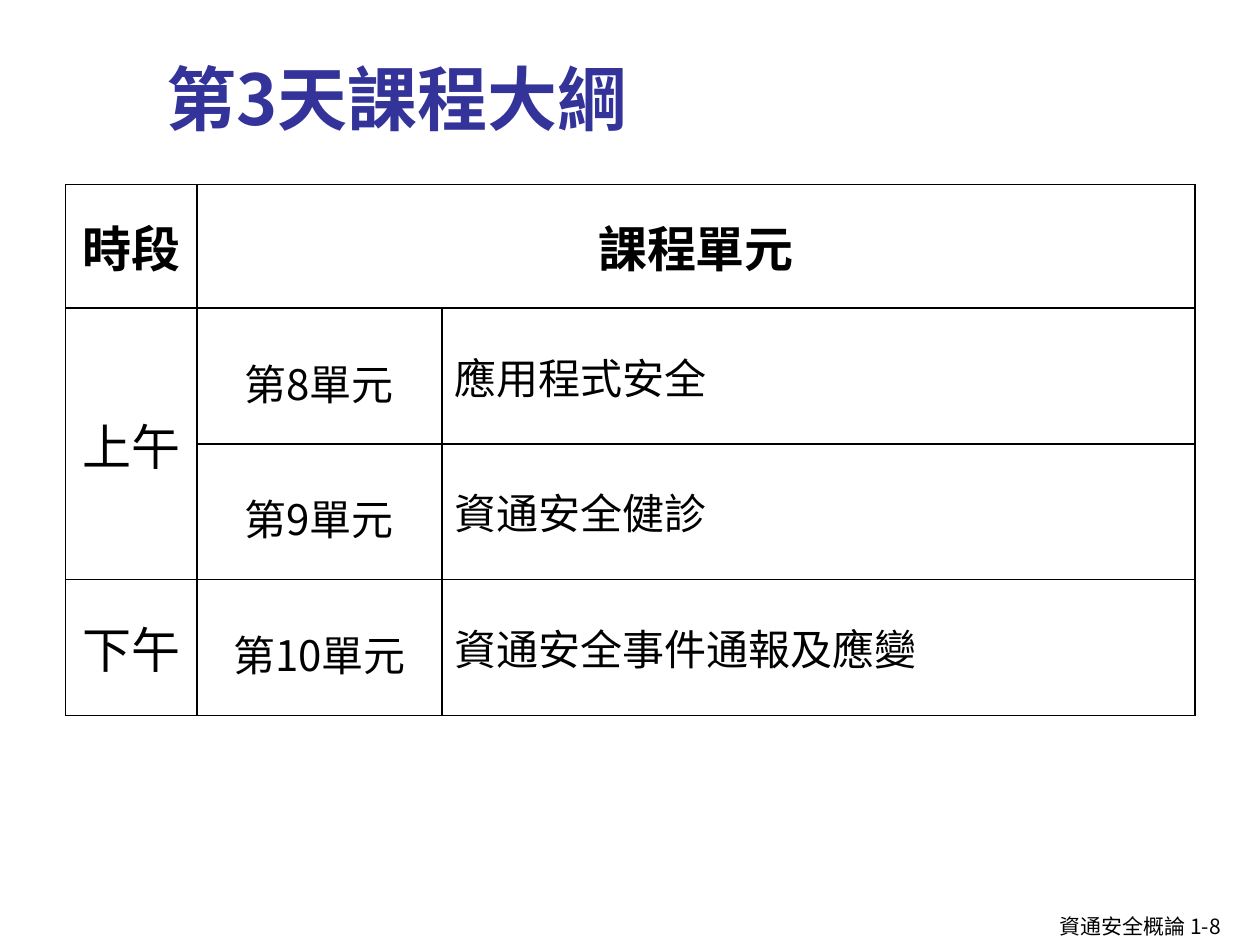
from dataclasses import dataclass

from lxml import etree
from pptx import Presentation
from pptx.dml.color import RGBColor
from pptx.enum.text import MSO_ANCHOR, PP_ALIGN
from pptx.oxml.ns import qn
from pptx.util import Pt

BLACK = RGBColor(0x00, 0x00, 0x00)
TITLE_BLUE = RGBColor(0x33, 0x33, 0x99)
LEFT, CENTER = PP_ALIGN.LEFT, PP_ALIGN.CENTER
MIDDLE, BOTTOM, TOP = MSO_ANCHOR.MIDDLE, MSO_ANCHOR.BOTTOM, MSO_ANCHOR.TOP
SC, TC = "Noto Sans CJK SC", "Noto Sans CJK TC"
COL_WIDTHS = (75, 140, 430.5)
ROW_HEIGHTS = (70.5, 77.6, 77.6, 77.6)


@dataclass(frozen=True)
class Style:
    size: float
    latin: str = SC
    east_asian: str = SC
    bold: bool = False
    color: RGBColor = BLACK
    align: PP_ALIGN = LEFT
    line_spacing: float = 1.0
    margin_x: float = 7.2
    margin_y: float = 3.6


@dataclass(frozen=True)
class Entry:
    row: int
    col: int
    text: str
    style: Style
    rows: int = 1
    cols: int = 1


TITLE = Style(40, TC, TC, bold=True, color=TITLE_BLUE)
FOOTER = Style(12)
HEADER = Style(28, "Arial", TC, bold=True, align=CENTER)
PERIOD = Style(28, align=CENTER)
UNIT = Style(24, align=CENTER, line_spacing=1.2, margin_x=5, margin_y=0)
TOPIC = Style(24)

ENTRIES = [
    Entry(0, 0, "時段", HEADER),
    Entry(0, 1, "課程單元", HEADER, cols=2),
    Entry(1, 0, "上午", PERIOD, rows=2),
    Entry(3, 0, "下午", PERIOD),
]
UNITS = (
    ("第8單元", "應用程式安全"),
    ("第9單元", "資通安全健診"),
    ("第10單元", "資通安全事件通報及應變"),
)
for row, (unit, topic) in enumerate(UNITS, start=1):
    ENTRIES += [Entry(row, 1, unit, UNIT), Entry(row, 2, topic, TOPIC)]


def write(tf, text: str, style: Style) -> None:
    tf.text = text
    p = tf.paragraphs[0]
    p.alignment = style.align
    p.line_spacing = style.line_spacing
    r = p.runs[0]
    r.font.size = Pt(style.size)
    r.font.bold = style.bold
    r.font.italic = False
    r.font.color.rgb = style.color
    r.font.name = style.latin
    latin = r.font._element.find(qn("a:latin"))
    ea = etree.Element(qn("a:ea"), typeface=style.east_asian)
    latin.addnext(ea)


def add_text(slide, text: str, style: Style, left: float, top: float,
             width: float, height: float, anchor: MSO_ANCHOR) -> None:
    sp = slide.shapes.add_textbox(Pt(left), Pt(top), Pt(width), Pt(height))
    tf = sp.text_frame
    tf.word_wrap = True
    tf.vertical_anchor = anchor
    write(tf, text, style)


def format_cell(cell) -> None:
    """Give a cell no fill and a thin black border on all sides."""
    tc_pr = cell._tc.get_or_add_tcPr()
    for side in ("lnL", "lnR", "lnT", "lnB"):
        ln = etree.SubElement(tc_pr, qn(f"a:{side}"), w=str(Pt(1)))
        fill = etree.SubElement(ln, qn("a:solidFill"))
        etree.SubElement(fill, qn("a:srgbClr"), val=str(BLACK))
    cell.fill.background()


def add_schedule(slide) -> None:
    table = slide.shapes.add_table(
        len(ROW_HEIGHTS), len(COL_WIDTHS), Pt(37.5), Pt(105.5),
        Pt(sum(COL_WIDTHS)), Pt(sum(ROW_HEIGHTS))).table
    table.first_row = False
    table.horz_banding = False
    for column, width in zip(table.columns, COL_WIDTHS):
        column.width = Pt(width)
    for table_row, height in zip(table.rows, ROW_HEIGHTS):
        table_row.height = Pt(height)
    for cell in table.iter_cells():
        format_cell(cell)
    for e in ENTRIES:
        cell = table.cell(e.row, e.col)
        if e.rows > 1 or e.cols > 1:
            cell.merge(table.cell(e.row + e.rows - 1, e.col + e.cols - 1))
        cell.vertical_anchor = MIDDLE
        cell.margin_left = cell.margin_right = Pt(e.style.margin_x)
        cell.margin_top = cell.margin_bottom = Pt(e.style.margin_y)
        write(cell.text_frame, e.text, e.style)


def main() -> None:
    prs = Presentation()
    prs.slide_width, prs.slide_height = Pt(720), Pt(540)
    slide = prs.slides.add_slide(prs.slide_layouts[6])
    add_text(slide, "資通安全概論 1-8", FOOTER, 598.3, 518.4, 121.7, 21.6, TOP)
    add_text(slide, "第3天課程大綱", TITLE, 88, 9.5, 587.5, 73.5, BOTTOM)
    add_schedule(slide)
    prs.save("out.pptx")


if __name__ == "__main__":
    main()
